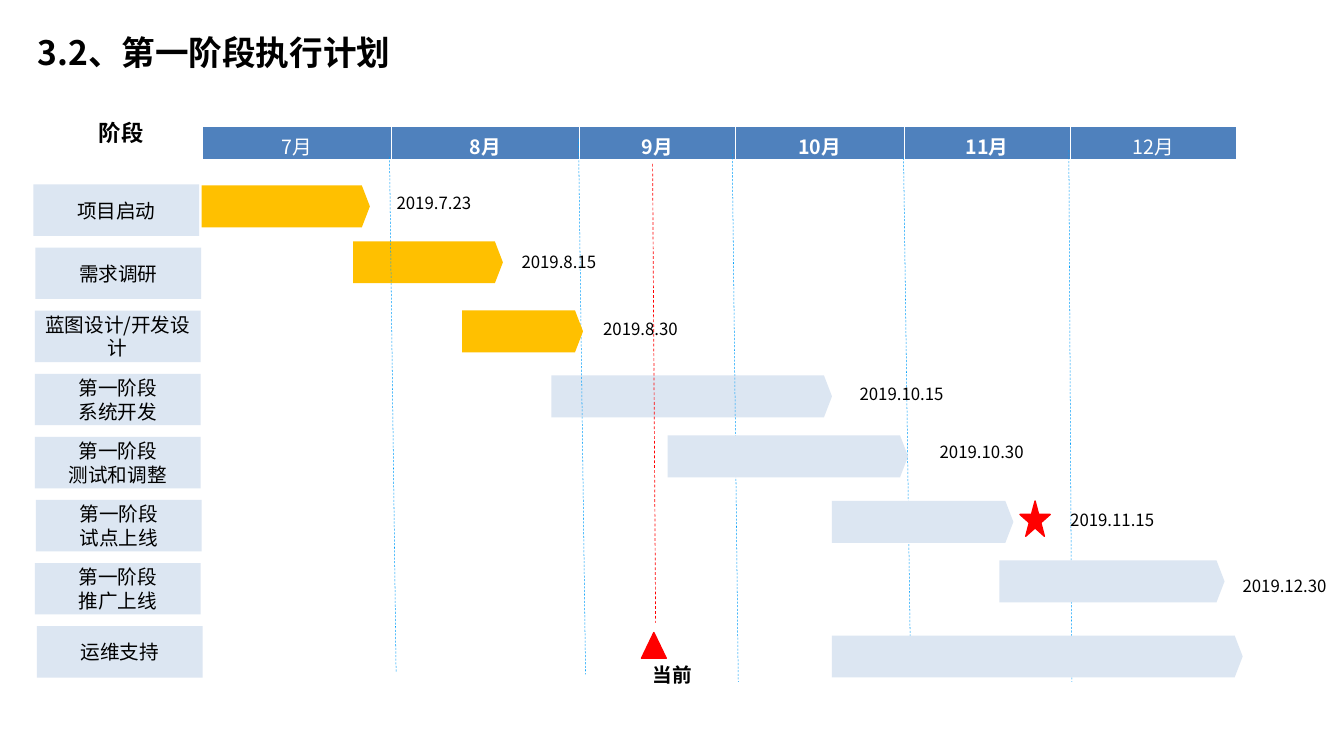
from typing import NamedTuple, Optional

from lxml import etree
from pptx import Presentation
from pptx import util as u
from pptx.dml.color import RGBColor
from pptx.enum import dml, shapes, text
from pptx.oxml import ns

FONT = "Noto Sans CJK SC"
BLACK, WHITE, RED = "000000", "FFFFFF", "FF0000"
DONE, PLANNED, HEADER, GRID = "FFC000", "DCE6F2", "4F81BD", "009EF9"
LABEL_TOP, LABEL_PITCH, LABEL_WIDTH, LABEL_HEIGHT = 3.66, 1.252, 3.29, 1.02
BAR_HEIGHT = 0.83


class Month(NamedTuple):
    name: str
    width: float
    bold: bool


class Task(NamedTuple):
    label: str
    label_left: float
    bar_left: float
    bar_top: float
    bar_width: float
    color: str
    date: str = ""
    date_left: float = 0
    date_top: float = 0
    under_grid: bool = False


class Divider(NamedTuple):
    x1: float
    y1: float
    x2: float
    y2: float


MONTHS = [
    Month("7月", 3.74, False), Month("8月", 3.74, True), Month("9月", 3.09, True),
    Month("10月", 3.35, True), Month("11月", 3.3, True), Month("12月", 3.3, False),
]
TASKS = [
    Task("项目启动", 0.66, 4, 3.68, 3.34, DONE, "2019.7.23", 7.48, 3.77),
    Task("需求调研", 0.7, 7.01, 4.79, 2.97, DONE, "2019.8.15", 9.96, 4.94, True),
    Task("蓝图设计/开发设计", 0.69, 9.17, 6.16, 2.4, DONE, "2019.8.30", 11.58, 6.28),
    Task("第一阶段\n系统开发", 0.69, 10.94, 7.45, 5.57, PLANNED, "2019.10.15", 16.76, 7.57, True),
    Task("第一阶段\n测试和调整", 0.69, 13.25, 8.64, 4.77, PLANNED, "2019.10.30", 18.35, 8.71),
    Task("第一阶段\n试点上线", 0.71, 16.51, 9.94, 3.6, PLANNED, "2019.11.15", 20.94, 10.07),
    Task("第一阶段\n推广上线", 0.69, 19.83, 11.12, 4.47, PLANNED, "2019.12.30", 24.36, 11.37),
    Task("运维支持", 0.73, 16.51, 12.61, 8.15, PLANNED),
]
DIVIDERS = [
    Divider(7.73, 3.11, 7.86, 13.34), Divider(11.48, 2.75, 11.62, 13.38),
    Divider(14.53, 2.98, 14.65, 13.53), Divider(17.93, 3.13, 18.07, 13.31),
    Divider(21.21, 2.98, 21.27, 13.53),
]


def rgb(value: str) -> RGBColor:
    return RGBColor.from_string(value)


def write(frame, content: str, size: float, color: str = BLACK, bold: bool = False) -> None:
    """Fill a text frame with centred lines, one paragraph each."""
    for index, line in enumerate(content.split("\n")):
        paragraph = frame.add_paragraph() if index else frame.paragraphs[0]
        paragraph.alignment = text.PP_ALIGN.CENTER
        run = paragraph.add_run()
        run.text = line
        font = run.font
        font.name, font.size, font.bold = FONT, u.Pt(size), bold
        font.color.rgb = rgb(color)
        east_asian = etree.SubElement(run._r.get_or_add_rPr(), ns.qn("a:ea"))
        east_asian.set("typeface", FONT)


def add_text(parent, left: float, top: float, width: float, height: float,
             content: str, size: float, bold: bool = False):
    frame = parent.add_textbox(u.Inches(left), u.Inches(top),
                               u.Inches(width), u.Inches(height)).text_frame
    frame.word_wrap = True
    write(frame, content, size, bold=bold)
    return frame


def add_block(parent, kind, left: float, top: float, width: float, height: float,
              fill: str, outline: Optional[str] = None):
    block = parent.add_shape(kind, u.Inches(left), u.Inches(top),
                             u.Inches(width), u.Inches(height))
    block.shadow.inherit = False
    block.fill.solid()
    block.fill.fore_color.rgb = rgb(fill)
    if outline:
        block.line.color.rgb = rgb(outline)
        block.line.width = u.Pt(2)
    else:
        block.line.fill.background()
    return block


def add_dashed_line(parent, line: Divider, color: str, width: float) -> None:
    connector = parent.add_connector(shapes.MSO_CONNECTOR.STRAIGHT,
                                     u.Inches(line.x1), u.Inches(line.y1),
                                     u.Inches(line.x2), u.Inches(line.y2))
    connector.line.color.rgb = rgb(color)
    connector.line.width = u.Pt(width)
    connector.line.dash_style = dml.MSO_LINE.DASH
    etree.SubElement(connector._element.spPr, ns.qn("a:effectLst"))


def add_bar(parent, task: Task) -> None:
    bar = add_block(parent, shapes.MSO_SHAPE.PENTAGON, task.bar_left, task.bar_top,
                    task.bar_width, BAR_HEIGHT, task.color)
    bar.adjustments[0] = 0.192


def add_label(parent, row: int, task: Task) -> None:
    label = add_block(parent, shapes.MSO_SHAPE.RECTANGLE, task.label_left,
                      LABEL_TOP + row * LABEL_PITCH, LABEL_WIDTH, LABEL_HEIGHT, PLANNED)
    label.text_frame.word_wrap = True
    label.text_frame.vertical_anchor = text.MSO_ANCHOR.MIDDLE
    write(label.text_frame, task.label, 28)


def set_borders(cell) -> None:
    properties = cell._tc.get_or_add_tcPr()
    for index, (side, width) in enumerate((("L", 1), ("R", 1), ("T", 1), ("B", 3))):
        border = etree.Element(ns.qn(f"a:ln{side}"), w=str(u.Pt(width)))
        solid = etree.SubElement(border, ns.qn("a:solidFill"))
        etree.SubElement(solid, ns.qn("a:srgbClr"), val=WHITE)
        properties.insert(index, border)


def add_month_header(parent) -> None:
    total = sum(month.width for month in MONTHS)
    table = parent.add_table(1, len(MONTHS), u.Inches(4.02), u.Inches(2.51),
                             u.Inches(total), u.Inches(0.67)).table
    for column, month in enumerate(MONTHS):
        table.columns[column].width = u.Inches(month.width)
        cell = table.cell(0, column)
        cell.margin_left = cell.margin_right = u.Inches(0.08)
        cell.margin_top = cell.margin_bottom = u.Inches(0.1)
        cell.fill.solid()
        cell.fill.fore_color.rgb = rgb(HEADER)
        set_borders(cell)
        write(cell.text_frame, month.name, 28, WHITE, month.bold)


def add_today_marker(parent) -> None:
    marker = parent.add_group_shape().shapes
    add_dashed_line(marker, Divider(12.95, 3.25, 13.01, 12.36), RED, 1)
    add_block(marker, shapes.MSO_SHAPE.ISOSCELES_TRIANGLE, 12.73, 12.55, 0.49, 0.51, RED, RED)
    add_text(marker, 12.41, 13.1, 1.86, 0.57, "当前", 28, True)


def main() -> None:
    deck = Presentation()
    deck.slide_width, deck.slide_height = u.Inches(26.67), u.Inches(15)
    canvas = deck.slides.add_slide(deck.slide_layouts[6]).shapes

    # Title and headings
    title = add_text(canvas, 0.15, 0.5, 8.19, 1.15, "3.2、第一阶段执行计划", 48, True)
    title.vertical_anchor = text.MSO_ANCHOR.MIDDLE
    title.paragraphs[0].line_spacing = 0.9
    add_month_header(canvas)
    add_text(canvas, 0.68, 2.32, 3.45, 0.64, "阶段", 32, True)

    # Bars crossed by the month dividers, the dividers, then the other bars
    for task in TASKS:
        if task.under_grid:
            add_bar(canvas, task)
    for divider in DIVIDERS:
        add_dashed_line(canvas, divider, GRID, 0.75)
    for task in TASKS:
        if not task.under_grid:
            add_bar(canvas, task)

    # Stage labels and end dates
    for row, task in enumerate(TASKS):
        add_label(canvas, row, task)
        if task.date:
            add_text(canvas, task.date_left, task.date_top, 2.26, 0.5, task.date, 24)

    # Milestone star and current date
    add_block(canvas, shapes.MSO_SHAPE.STAR_5_POINT, 20.24, 9.94, 0.6, 0.7, RED, RED)
    add_today_marker(canvas)

    deck.save("out.pptx")


if __name__ == "__main__":
    main()
